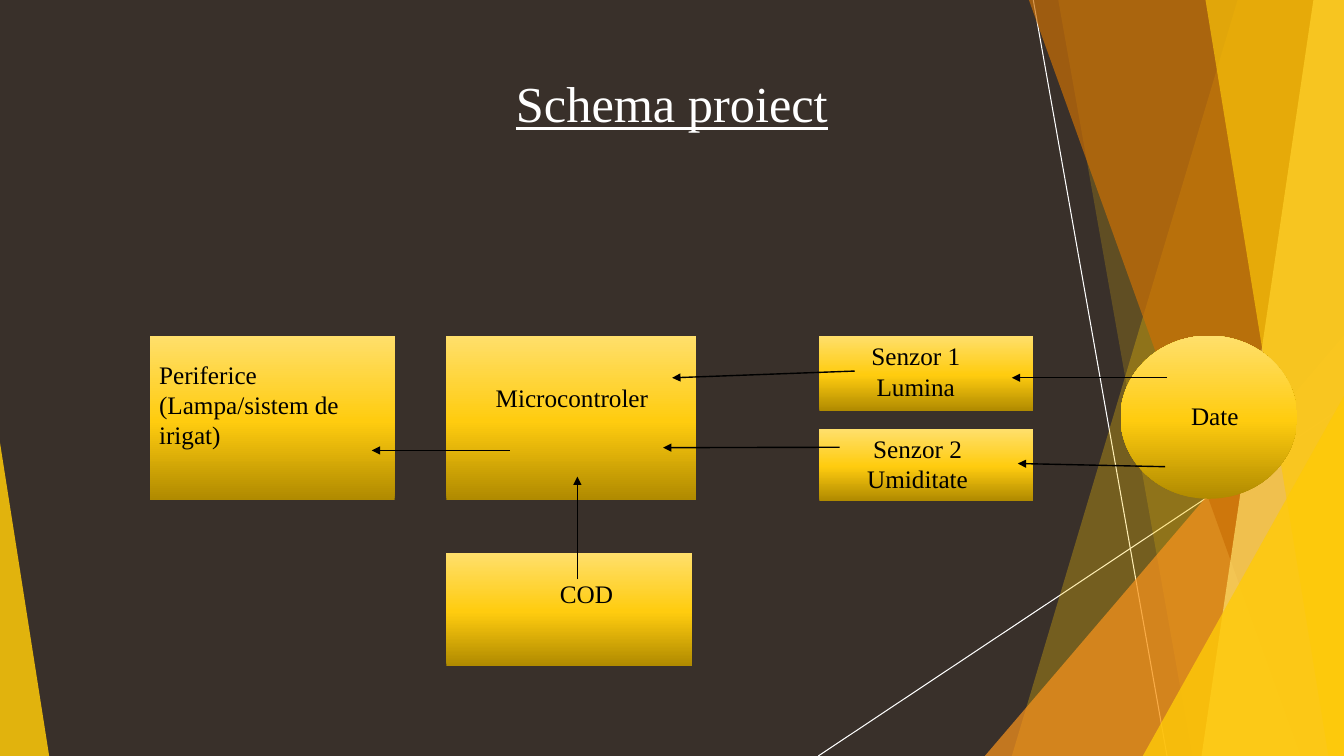
from copy import deepcopy

from lxml import etree
from pptx import Presentation
from pptx.dml.color import RGBColor
from pptx.enum.shapes import MSO_CONNECTOR, MSO_SHAPE
from pptx.enum.text import MSO_ANCHOR, MSO_AUTO_SIZE, PP_ALIGN
from pptx.oxml.ns import qn
from pptx.util import Cm, Pt

STRAIGHT = MSO_CONNECTOR.STRAIGHT
RECTANGLE, OVAL = MSO_SHAPE.RECTANGLE, MSO_SHAPE.OVAL
TRIANGLE = MSO_SHAPE.ISOSCELES_TRIANGLE
TOP, NO_AUTOFIT = MSO_ANCHOR.TOP, MSO_AUTO_SIZE.NONE
CENTER, LEFT = PP_ALIGN.CENTER, PP_ALIGN.LEFT

WIDTH, HEIGHT = 33.87, 19.05
BACKGROUND, WHITE, BLACK = "39302A", "FFFFFF", "000000"
GOLD, ORANGE, BROWN, PALE = "FFCA08", "F8931D", "CA6F06", "FFDF6B"
GRADIENT = [(0, "B08A00"), (0.48, "FFCC0F"), (1, PALE)]
BOX_TOP = 8.46

RAYS = [((26.04, 0), (29.41, HEIGHT)), ((WIDTH, 10.24), (20.62, HEIGHT))]
BACK_BANDS = [(31.19, 25.5, GOLD, 30), (26.67, 30.05, GOLD, 20)]
FRONT_BANDS = [
    (25.93, 32.79, BROWN, 70),
    (33.1, 30.28, PALE, 70),
    (30.38, 33.48, GOLD, 65),
]
BOXES = [
    (RECTANGLE, (11.25, BOX_TOP, 6.3, 4.14)),
    (RECTANGLE, (20.65, BOX_TOP, 5.38, 1.9)),
    (RECTANGLE, (20.65, 10.82, 5.38, 1.8)),
    (RECTANGLE, (11.25, 13.94, 6.2, 2.84)),
    (RECTANGLE, (3.78, BOX_TOP, 6.17, 4.14)),
    (OVAL, (28.24, BOX_TOP, 4.45, 4.11)),
]
ARROWS = [
    ((29.41, 9.52), (25.5, 9.52)),
    ((29.36, 11.76), (25.65, 11.68)),
    ((21.54, 9.35), (16.94, 9.52)),
    ((21.16, 11.27), (16.71, 11.28)),
    ((14.55, 14.6), (14.55, 12.01)),
    ((12.85, 11.35), (9.37, 11.35)),
]
LABELS = [
    ("Microcontroler", (11.89, 9.52, 5.05, 1.8), CENTER),
    ("Date", (29.46, 9.96, 2.31, 1.02), CENTER),
    ("Senzor 1 Lumina", (20.83, BOX_TOP, 4.5, 1.8), CENTER),
    ("Senzor 2\nUmiditate", (20.6, 10.8, 5.05, 1.8), CENTER),
    ("COD", (12.85, 14.45, 3.86, 1.02), CENTER),
    ("Periferice (Lampa/sistem de irigat)", (3.76, 8.92, 5.59, 2.57), LEFT),
]


def color(value):
    """Turn a hex string into a colour."""
    return RGBColor.from_string(value)


def apply(target, values):
    """Set every attribute named in a dict of format values."""
    for name, value in values.items():
        setattr(target, name, value)


class Diagram:
    """Draws styled elements on one slide."""

    font = "Times New Roman"

    def __init__(self, slide):
        """Keep the slide and colour its background."""
        self.slide = slide
        self.shapes = slide.shapes
        slide.background.fill.solid()
        slide.background.fill.fore_color.rgb = color(BACKGROUND)

    def set_text(self, shape, text, size, ink, alignment, underline=None):
        """Fill a shape with formatted paragraphs."""
        frame = shape.text_frame
        frame.text = text
        apply(frame, {"word_wrap": True, "vertical_anchor": TOP, "auto_size": NO_AUTOFIT})
        for paragraph in frame.paragraphs:
            paragraph.alignment = alignment
            font = paragraph.runs[0].font
            apply(font, {"name": self.font, "size": Pt(size), "underline": underline})
            font.color.rgb = color(ink)

    def title(self, text, left, top, width, height):
        """Place and format the title placeholder."""
        title = self.shapes.title
        place = {"left": left, "top": top, "width": width, "height": height}
        apply(title, {name: Cm(value) for name, value in place.items()})
        self.set_text(title, text, 36, WHITE, CENTER, True)

    def label(self, text, bounds, alignment):
        """Add a text box."""
        box = self.shapes.add_textbox(*map(Cm, bounds))
        self.set_text(box, text, 18, BLACK, alignment)

    def line(self, start, end, ink, width, arrow=False):
        """Add a straight line, with an arrowhead if asked."""
        connector = self.shapes.add_connector(STRAIGHT, *map(Cm, start + end))
        connector.line.color.rgb = color(ink)
        connector.line.width = Pt(width)
        properties = connector._element.spPr
        if arrow:
            etree.SubElement(properties.find(qn("a:ln")), qn("a:tailEnd"), type="triangle")
        etree.SubElement(properties, qn("a:effectLst"))

    def tint(self, shape, shade, opacity):
        """Give a shape a flat translucent fill."""
        shape.shadow.inherit = False
        shape.line.fill.background()
        shape.fill.solid()
        shape.fill.fore_color.rgb = color(shade)
        value = shape._element.spPr.find(qn("a:solidFill"))[0]
        etree.SubElement(value, qn("a:alpha"), val=str(opacity * 1000))

    def band(self, top_x, bottom_x, shade, opacity):
        """Add a slanted band reaching the right edge."""
        builder = self.shapes.build_freeform(Cm(top_x), 0)
        corners = [(WIDTH, 0), (WIDTH, HEIGHT), (bottom_x, HEIGHT)]
        builder.add_line_segments([(Cm(x), Cm(y)) for x, y in corners])
        self.tint(builder.convert_to_shape(), shade, opacity)

    def triangle(self, bounds, peak, shade, opacity):
        """Add a triangle with its peak at a share of its width."""
        triangle = self.shapes.add_shape(TRIANGLE, *map(Cm, bounds))
        triangle.adjustments[0] = peak
        self.tint(triangle, shade, opacity)

    def box(self, kind, bounds):
        """Add a gold gradient block."""
        shape = self.shapes.add_shape(kind, *map(Cm, bounds))
        shape.shadow.inherit = False
        shape.line.fill.background()
        shape.fill.gradient()
        shape.fill.gradient_angle = 90
        stops = shape._element.spPr.find(qn("a:gradFill")).find(qn("a:gsLst"))
        stops.append(deepcopy(stops[0]))
        for stop, (position, shade) in zip(shape.fill.gradient_stops, GRADIENT):
            stop.position = position
            stop.color.rgb = color(shade)


def main():
    """Build the project diagram and save it."""
    presentation = Presentation()
    apply(presentation, {"slide_width": Cm(WIDTH), "slide_height": Cm(HEIGHT)})
    diagram = Diagram(presentation.slides.add_slide(presentation.slide_layouts[5]))
    for start, end in RAYS:
        diagram.line(start, end, WHITE, 0.75)
    for band in BACK_BANDS:
        diagram.band(*band)
    diagram.triangle((24.82, BOX_TOP, 9.05, 10.59), 1, ORANGE, 72)
    for band in FRONT_BANDS:
        diagram.band(*band)
    diagram.triangle((28.8, 9.98, 5.07, 9.07), 1, GOLD, 80)
    diagram.triangle((0, 11.15, 1.24, 7.9), 0, GOLD, 85)
    diagram.title("Schema proiect", 0, 1.7, WIDTH, 3.66)
    for kind, bounds in BOXES:
        diagram.box(kind, bounds)
    for start, end in ARROWS:
        diagram.line(start, end, BLACK, 1, arrow=True)
    for label in LABELS:
        diagram.label(*label)
    presentation.save("out.pptx")


if __name__ == "__main__":
    main()
